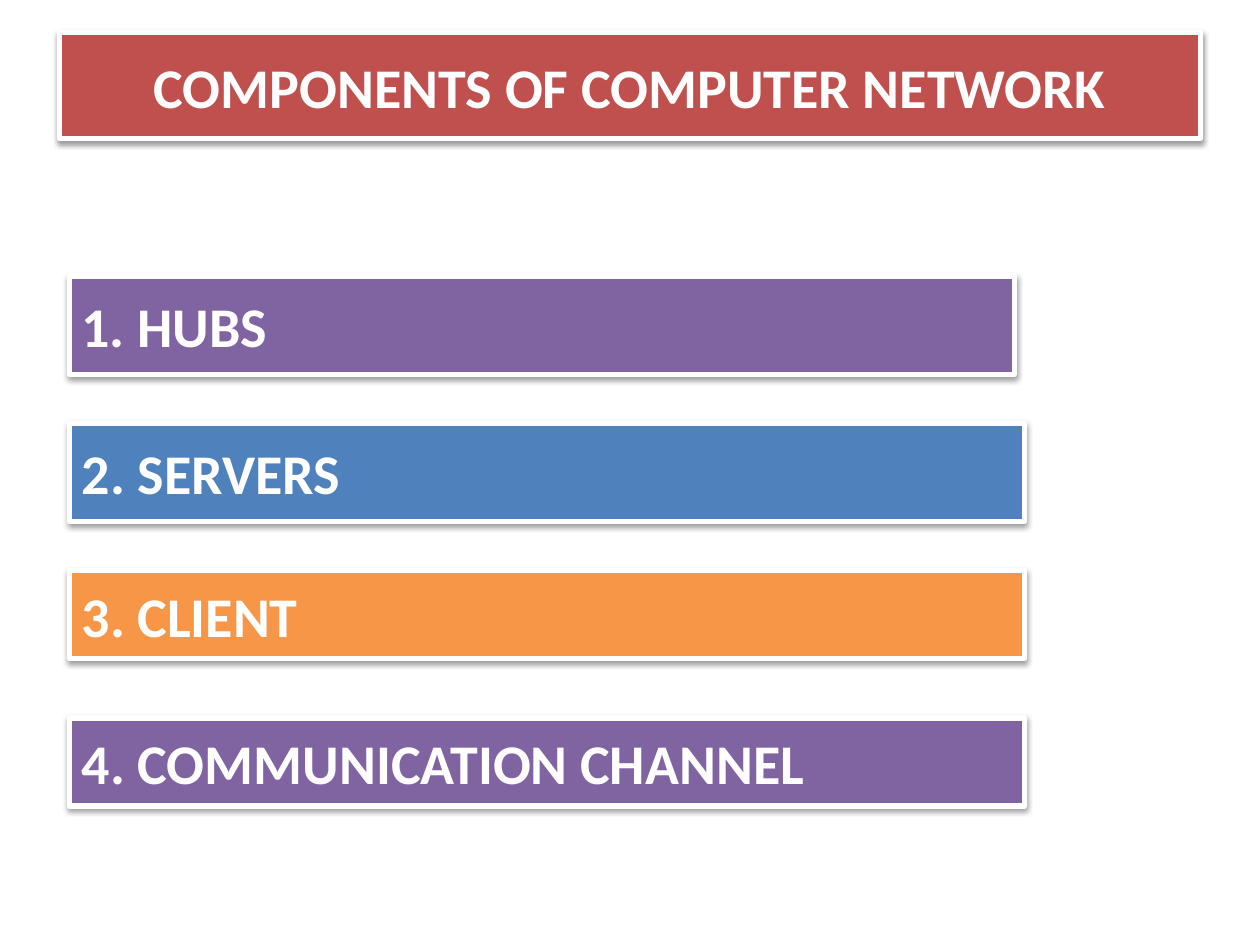
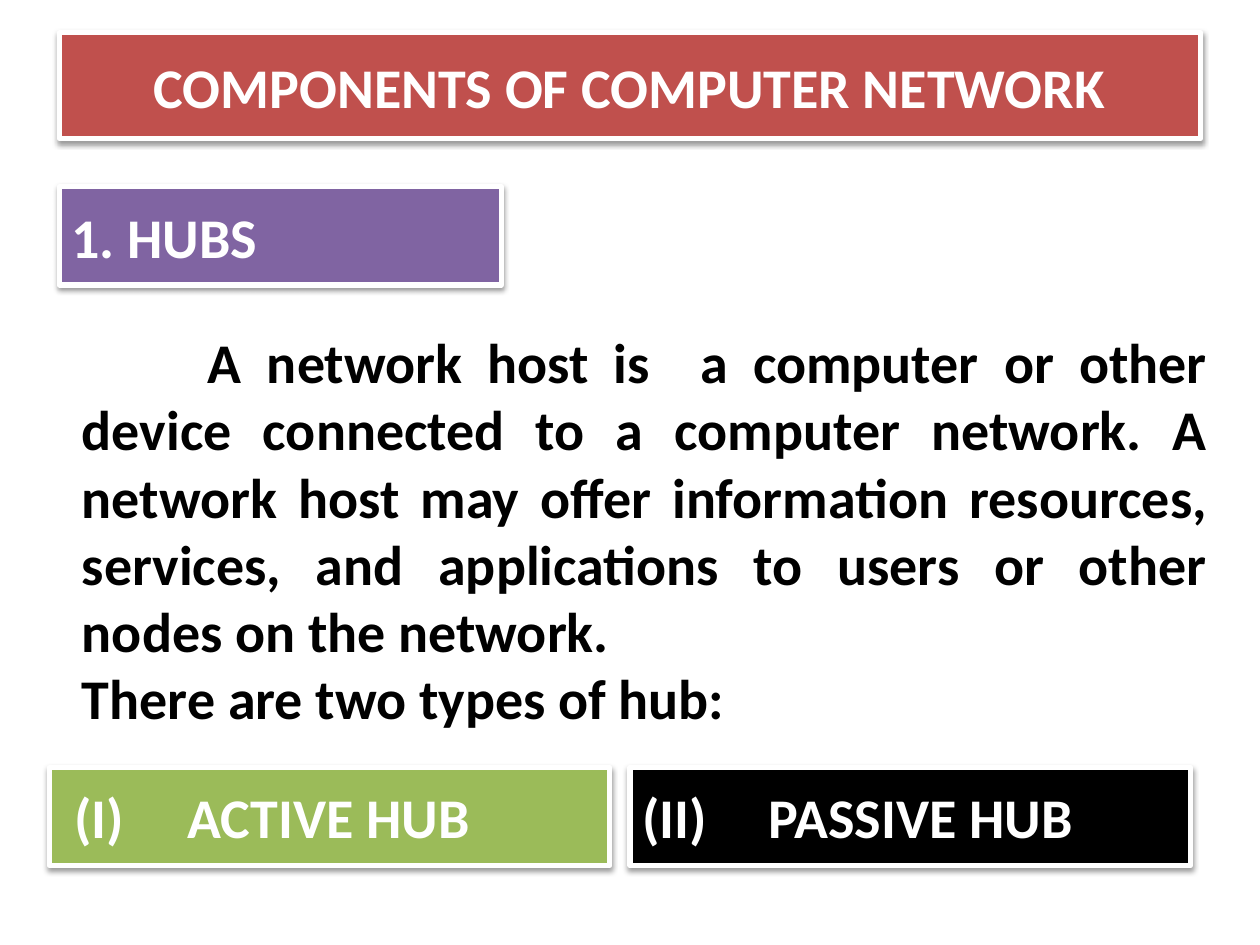
import dataclasses
import typing

import lxml.etree
import pptx
import pptx.dml.color
import pptx.enum.shapes
import pptx.enum.text
import pptx.oxml.ns
import pptx.util

Pt = pptx.util.Pt
Align = pptx.enum.text.PP_ALIGN
Anchor = pptx.enum.text.MSO_ANCHOR
qn = pptx.oxml.ns.qn


@dataclasses.dataclass(frozen=True)
class Theme:
    font: str = "Calibri"
    size: float = 32
    edge: float = 3
    white: str = "FFFFFF"
    black: str = "000000"
    red: str = "C0504D"
    purple: str = "8064A2"
    blue: str = "4F81BD"
    orange: str = "F79646"
    green: str = "9BBB59"


THEME = Theme()


class Box(typing.NamedTuple):
    left: float
    top: float
    width: float
    height: float


class Bar(typing.NamedTuple):
    text: str
    fill: str
    box: Box
    margin: float = 0
    indent: float = 0


HEAD = Box(33.8, 18.7, 652.3, 60.5)
BODY = Box(39.6, 183.6, 658, 314.6)
TALL, LOW = 56.2, 50.4
TOP, PITCH = 157.7, 84.2
TAB = 72

PARTS = [
    ("1. HUBS", THEME.purple, 540, TALL),
    ("2. SERVERS", THEME.blue, 545.8, TALL),
    ("3. CLIENT", THEME.orange, 545.8, LOW),
    ("4. COMMUNICATION CHANNEL", THEME.purple, 545.8, LOW),
]
LIST = [
    Bar(text, fill, Box(BODY.left, TOP + row * PITCH, width, height))
    for row, (text, fill, width, height) in enumerate(PARTS)
]
HUBS = [
    Bar("1. HUBS", THEME.purple, Box(HEAD.left, 106.6, 252.7, TALL)),
    Bar("(I)\tACTIVE HUB", THEME.green, Box(28.1, 438.5, 320.4, TALL), TAB, 7.2 - TAB),
    Bar("(II)\tPASSIVE HUB", THEME.black, Box(360, 438.5, 320.4, TALL), TAB, -TAB),
]
PROSE = [
    ("A network host is  a computer or other device connected to a computer "
     "network. A network host may offer information resources, services, and "
     "applications to users or other nodes on the network.", TAB),
    ("There are two types of hub:", 0),
]


def color(code: str) -> pptx.dml.color.RGBColor:
    return pptx.dml.color.RGBColor.from_string(code)


def place(shape, box: Box) -> None:
    shape.left, shape.top, shape.width, shape.height = map(Pt, box)


def write(para, text: str, ink: str, align, margin: float = 0, indent: float = 0) -> None:
    """Add one bold run and set the paragraph's indents, without a bullet."""
    para.alignment = align
    para.space_before = para.space_after = Pt(0)
    props = para._p.get_or_add_pPr()
    props.set("marL", str(Pt(margin)))
    props.set("indent", str(Pt(indent)))
    lxml.etree.SubElement(props, qn("a:buNone"))
    run = para.add_run()
    run.text = text
    run.font.name = THEME.font
    run.font.size = Pt(THEME.size)
    run.font.bold = True
    run.font.color.rgb = color(ink)


def frame(shape, fill: str) -> None:
    """Give a shape a solid fill, a white edge and a soft shadow below."""
    shape.fill.solid()
    shape.fill.fore_color.rgb = color(fill)
    shape.line.color.rgb = color(THEME.white)
    shape.line.width = Pt(THEME.edge)
    shape.shadow.inherit = False
    effects = shape._element.spPr.find(qn("a:effectLst"))
    shade = lxml.etree.SubElement(
        effects, qn("a:outerShdw"), blurRad=str(Pt(3.1)), dist=str(Pt(1.6)),
        dir="5400000", rotWithShape="0")
    tint = lxml.etree.SubElement(shade, qn("a:srgbClr"), val=THEME.black)
    lxml.etree.SubElement(tint, qn("a:alpha"), val="38000")


def set_text(shape, anchor):
    text = shape.text_frame
    text.word_wrap = True
    text.auto_size = pptx.enum.text.MSO_AUTO_SIZE.NONE
    text.vertical_anchor = anchor
    return text


def add_slide(deck, layout: int):
    """Add a slide with the shared title band."""
    slide = deck.slides.add_slide(deck.slide_layouts[layout])
    title = slide.shapes.title
    place(title, HEAD)
    frame(title, THEME.red)
    text = set_text(title, Anchor.MIDDLE)
    write(text.paragraphs[0], "COMPONENTS OF COMPUTER NETWORK", THEME.white, Align.CENTER)
    return slide


def add_bars(slide, bars: list[Bar]) -> None:
    for bar in bars:
        shape = slide.shapes.add_shape(
            pptx.enum.shapes.MSO_SHAPE.RECTANGLE, *map(Pt, bar.box))
        frame(shape, bar.fill)
        text = set_text(shape, Anchor.MIDDLE)
        write(text.paragraphs[0], bar.text, THEME.white, Align.LEFT, bar.margin, bar.indent)


def add_prose(slide) -> None:
    body = slide.placeholders[1]
    place(body, BODY)
    text = set_text(body, Anchor.TOP)
    for row, (words, indent) in enumerate(PROSE):
        para = text.add_paragraph() if row else text.paragraphs[0]
        write(para, words, THEME.black, Align.JUSTIFY, indent=indent)


def main() -> None:
    deck = pptx.Presentation()
    deck.slide_width, deck.slide_height = Pt(720), Pt(540)
    add_bars(add_slide(deck, 5), LIST)
    detail = add_slide(deck, 1)
    add_prose(detail)
    add_bars(detail, HUBS)
    deck.save("out.pptx")


if __name__ == "__main__":
    main()
